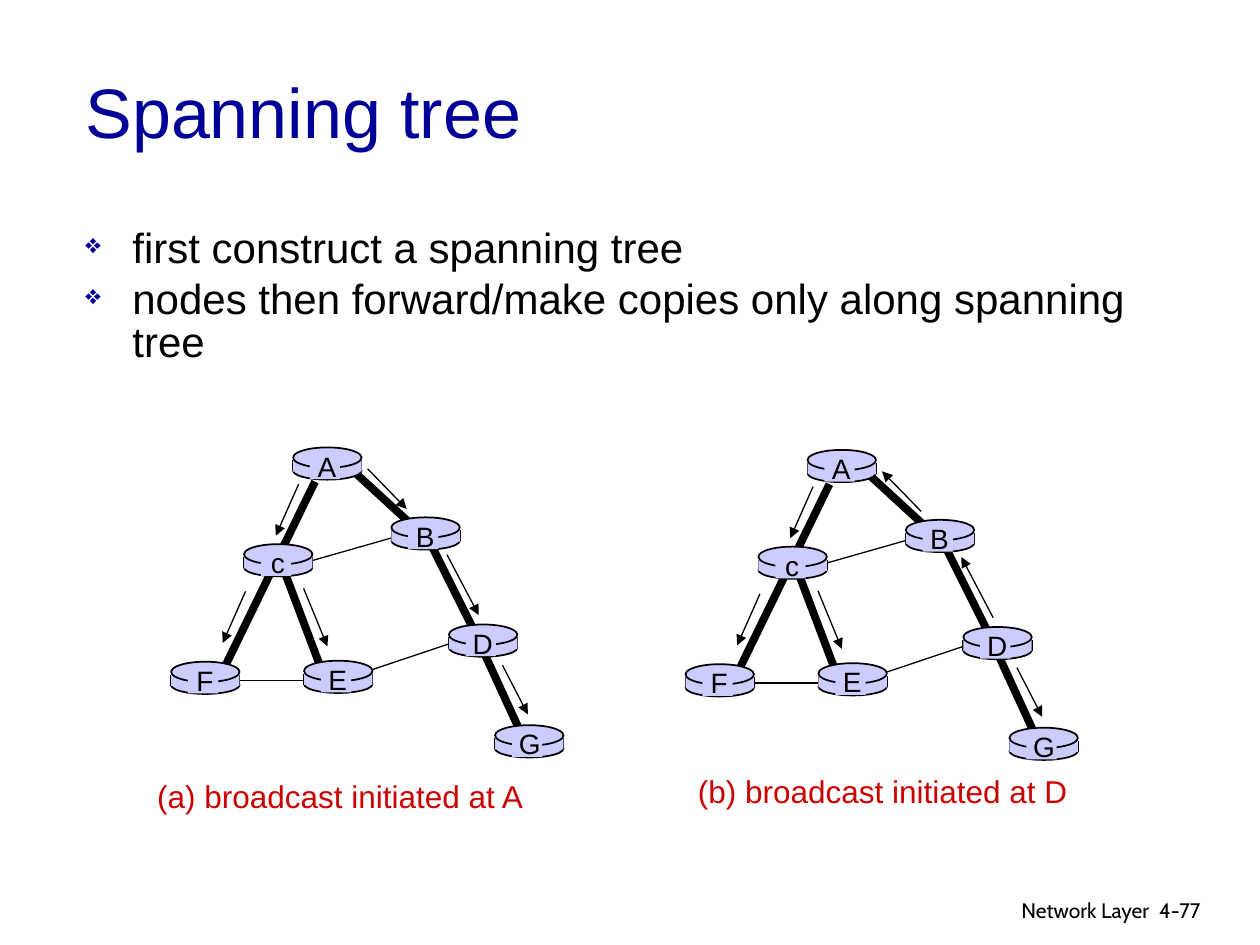
"""Builds a slide comparing two broadcasts along the same spanning tree."""
from lxml import etree
from pptx import Presentation
from pptx import util as u
from pptx.dml.color import RGBColor
from pptx.enum import shapes, text
from pptx.oxml.ns import qn

COLORS = {"ink": "000000", "title": "000099", "router": "CCCCFF", "caption": "CC0000"}
ROUTERS = {
    "A": (2.46, 0), "B": (4.44, 1.41), "G": (6.53, 5.6), "D": (5.6, 3.57),
    "E": (2.68, 4.3), "c": (1.47, 1.95), "F": (0, 4.32),
}
TREE_EDGES = [
    (5.16, 1.8, 6.1, 3.68), (6.12, 3.73, 7.09, 5.84), (3.02, 4.45, 2.26, 2.44),
    (3.71, 0.51, 4.95, 1.65), (2.9, 0.69, 1.02, 4.55),
]
OTHER_EDGES = [
    (5.66, 3.94, 3.99, 4.5), (3.1, 4.7, 1.04, 4.7), (2.74, 2.31, 4.6, 1.78),
]
ARROWS = {
    "Ac": (2.57, 0.74, 2.11, 1.78), "cF": (1.5, 2.9, 1.04, 3.94),
    "AB": (3.96, 0.43, 4.75, 1.24), "BD": (5.56, 2.16, 6.2, 3.38),
    "DG": (6.68, 4.39, 7.19, 5.38), "cE": (2.67, 2.84, 3.15, 4.01),
}


def rgb(name):
    """Return the named palette colour."""
    return RGBColor.from_string(COLORS[name])


def style(p, size, color="ink", font="Arial", align=text.PP_ALIGN.LEFT):
    """Format a paragraph and its runs."""
    p.alignment = align
    for r in p.runs:
        r.font.size, r.font.name = u.Pt(size), font
        r.font.color.rgb = rgb(color)


def add_text(s, box, words, size, wrap=False, **look):
    """Add a one-paragraph text box."""
    tf = s.shapes.add_textbox(*map(u.Cm, box)).text_frame
    tf.word_wrap = wrap
    tf.text = words
    style(tf.paragraphs[0], size, **look)


def add_line(s, x, y, ends, width, arrow=None):
    """Add a straight line offset by x and y, with an optional arrowhead."""
    x1, y1, x2, y2 = ends
    points = map(u.Cm, (x + x1, y + y1, x + x2, y + y2))
    sp = s.shapes.add_connector(shapes.MSO_CONNECTOR.STRAIGHT, *points)
    sp.line.width = u.Pt(width)
    sp.line.color.rgb = rgb("ink")
    if arrow:
        etree.SubElement(sp.line._get_or_add_ln(), qn(f"a:{arrow}"), type="triangle")
    etree.SubElement(sp._element.spPr, qn("a:effectLst"))


def add_part(s, kind, box, outlined):
    """Add one filled part of a router."""
    sp = s.shapes.add_shape(kind, *map(u.Cm, box))
    sp.shadow.inherit = False
    sp.fill.solid()
    sp.fill.fore_color.rgb = rgb("router")
    if outlined:
        sp.line.width = u.Pt(1)
        sp.line.color.rgb = rgb("ink")
    else:
        sp.line.fill.background()


def add_router(s, x, y, name):
    """Draw a router as a labelled cylinder."""
    oval, rect = shapes.MSO_SHAPE.OVAL, shapes.MSO_SHAPE.RECTANGLE
    add_part(s, oval, (x, y + 0.29, 1.38, 0.36), True)
    for side in (0, 1.38):
        add_line(s, x, y, (side, 0.26, side, 0.48), 1)
    add_part(s, rect, (x, y + 0.26, 1.38, 0.23), False)
    add_part(s, oval, (x, y, 1.38, 0.41), True)
    add_part(s, rect, (x + 0.34, y + 0.06, 0.61, 0.58), False)
    add_text(s, (x + 0.23, y - 0.09, 0.9, 0.94), name, 16, align=text.PP_ALIGN.CENTER)


def add_network(s, x, y, reverse=()):
    """Draw the network, turning round the arrows named in reverse."""
    for edges, width in ((TREE_EDGES, 4.5), (OTHER_EDGES, 0.75)):
        for ends in edges:
            add_line(s, x, y, ends, width)
    for name, (dx, dy) in ROUTERS.items():
        add_router(s, x + dx, y + dy, name)
    for name, ends in ARROWS.items():
        add_line(s, x, y, ends, 0.75, "headEnd" if name in reverse else "tailEnd")


def add_title(s, box, words):
    """Place and format the title placeholder."""
    sp = s.shapes.title
    sp.left, sp.top, sp.width, sp.height = map(u.Cm, box)
    tf = sp.text_frame
    tf.text = words
    tf.vertical_anchor = text.MSO_ANCHOR.MIDDLE
    style(tf.paragraphs[0], 40, "title")


def add_bullets(s, box, items):
    """Add the bulleted list."""
    tf = s.shapes.add_textbox(*map(u.Cm, box)).text_frame
    tf.word_wrap = True
    tf.text = "\n".join(items)
    for i, p in enumerate(tf.paragraphs):
        pPr = p._p.get_or_add_pPr()
        pPr.set("marL", str(u.Cm(0.95)))
        pPr.set("indent", str(-u.Cm(0.95)))
        color = etree.SubElement(pPr, qn("a:buClr"))
        etree.SubElement(color, qn("a:srgbClr"), val=COLORS["title"])
        etree.SubElement(pPr, qn("a:buSzPct"), val="65000")
        etree.SubElement(pPr, qn("a:buChar"), char="❖")
        p.line_spacing = 0.85
        if i:
            p.space_before = u.Pt(4.8)
        style(p, 24)


def add_footer(s, x, y):
    """Add the chapter name and the page number."""
    add_text(s, (x, y, 8.05, 0.79), "Network Layer", 12, True,
             font="Cabin", align=text.PP_ALIGN.RIGHT)
    add_text(s, (x + 7.75, y, 1.88, 0.76), "4-77", 12, True, font="Cabin")


def main():
    """Build and save the slide."""
    prs = Presentation()
    prs.slide_width, prs.slide_height = u.Cm(25.4), u.Cm(19.05)
    s = prs.slides.add_slide(prs.slide_layouts[5])
    add_title(s, (1.47, 0.64, 21.59, 3.18), "Spanning tree")
    add_bullets(s, (1.47, 4.5, 21.59, 5.1), [
        "first construct a spanning tree",
        "nodes then forward/make copies only along spanning tree",
    ])
    add_network(s, 3.45, 9.02)
    add_network(s, 13.82, 9.07, reverse=("AB", "BD"))
    add_text(s, (2.92, 15.54, 7.92, 1.02), "(a) broadcast initiated at A", 18, color="caption")
    add_text(s, (13.82, 15.44, 7.95, 1.02), "(b) broadcast initiated at D", 18, color="caption")
    add_footer(s, 15.37, 17.96)
    prs.save("out.pptx")


if __name__ == "__main__":
    main()
